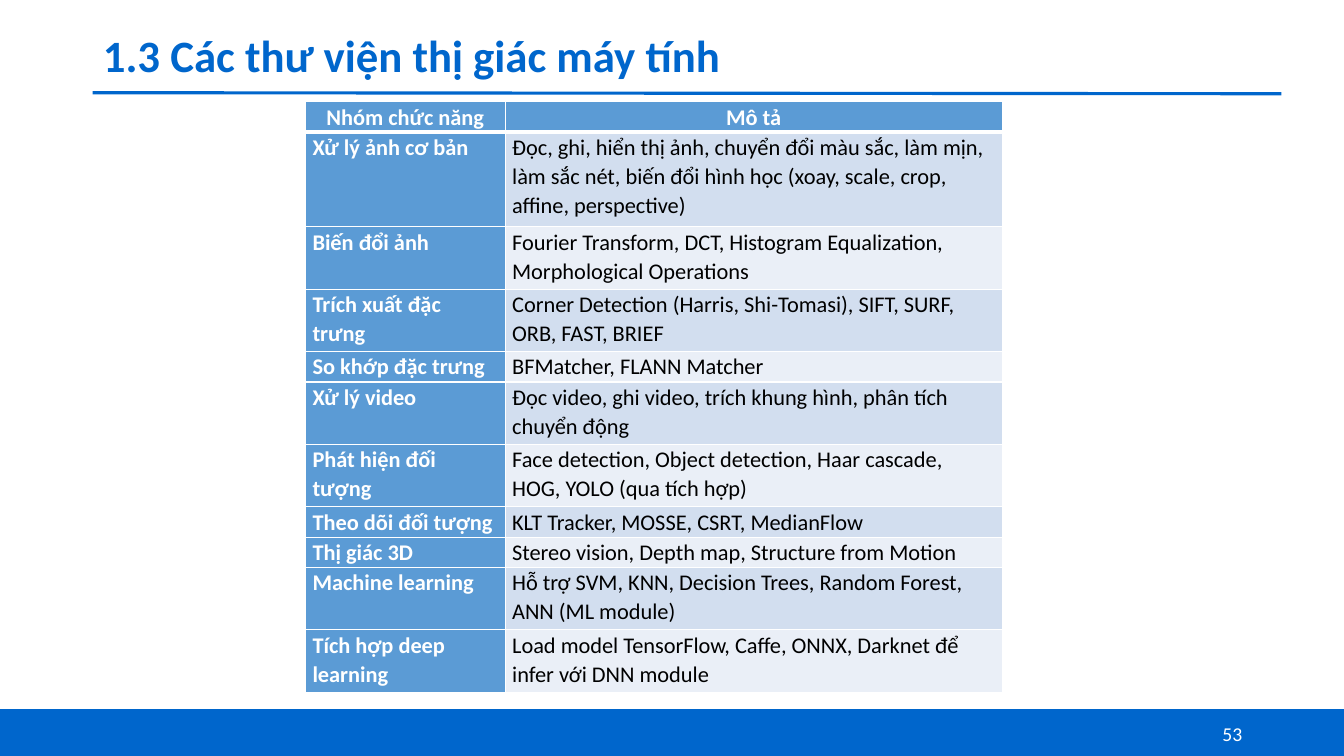
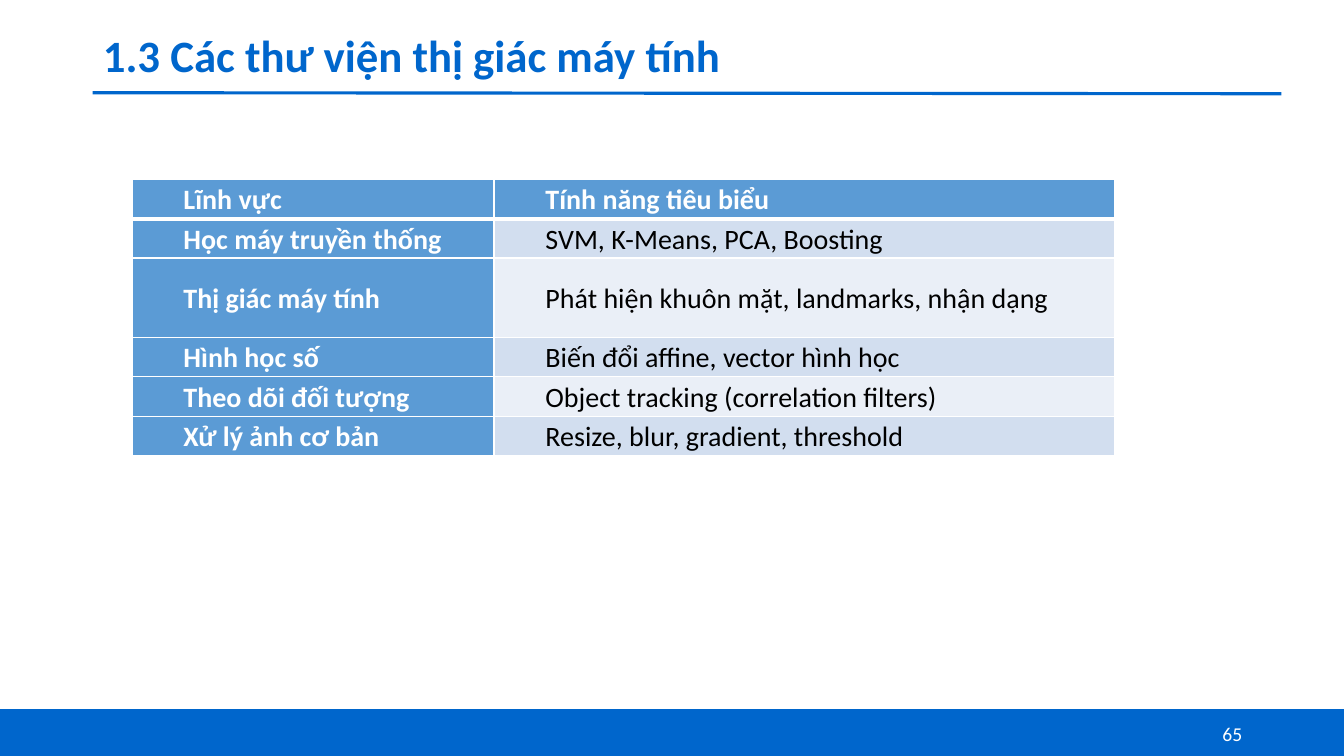
import pptx
import pptx.util
import pptx.dml.color
import pptx.enum.shapes
import pptx.enum.text
import pptx.oxml
import pptx.oxml.ns
from lxml import etree

Inches = pptx.util.Inches
Pt = pptx.util.Pt
ALIGN = pptx.enum.text.PP_ALIGN
ANCHOR = pptx.enum.text.MSO_ANCHOR

FONT = "Calibri"
COLORS = {
    "brand": "0066CC",
    "white": "FFFFFF",
    "black": "000000",
    "head": "5B9BD5",
    "odd": "D2DEEF",
    "even": "EAEFF7",
}
TITLE = "1.3 Các thư viện thị giác máy tính"

FUNCTION_GROUPS = [
    ("Nhóm chức năng", "Mô tả"),
    ("Xử lý ảnh cơ bản", "Đọc, ghi, hiển thị ảnh, chuyển đổi màu sắc, làm mịn, làm sắc nét, "
     "biến đổi hình học (xoay, scale, crop, affine, perspective)"),
    ("Biến đổi ảnh", "Fourier Transform, DCT, Histogram Equalization, Morphological Operations"),
    ("Trích xuất đặc trưng", "Corner Detection (Harris, Shi-Tomasi), SIFT, SURF, ORB, FAST, BRIEF"),
    ("So khớp đặc trưng", "BFMatcher, FLANN Matcher"),
    ("Xử lý video", "Đọc video, ghi video, trích khung hình, phân tích chuyển động"),
    ("Phát hiện đối tượng", "Face detection, Object detection, Haar cascade, HOG, YOLO (qua tích hợp)"),
    ("Theo dõi đối tượng", "KLT Tracker, MOSSE, CSRT, MedianFlow"),
    ("Thị giác 3D", "Stereo vision, Depth map, Structure from Motion"),
    ("Machine learning", "Hỗ trợ SVM, KNN, Decision Trees, Random Forest, ANN (ML module)"),
    ("Tích hợp deep learning", "Load model TensorFlow, Caffe, ONNX, Darknet để infer với DNN module"),
]
FEATURES = [
    ("Lĩnh vực", "Tính năng tiêu biểu"),
    ("Học máy truyền thống", "SVM, K-Means, PCA, Boosting"),
    ("Thị giác máy tính", "Phát hiện khuôn mặt, landmarks, nhận dạng"),
    ("Hình học số", "Biến đổi affine, vector hình học"),
    ("Theo dõi đối tượng", "Object tracking (correlation filters)"),
    ("Xử lý ảnh cơ bản", "Resize, blur, gradient, threshold"),
]


def rgb(name):
    return pptx.dml.color.RGBColor.from_string(COLORS[name])


def write(frame, text, size, color="black", bold=False, align=ALIGN.LEFT,
          anchor=ANCHOR.MIDDLE, spacing=1.0, after=0, indent=0):
    """Fill a text frame with one formatted paragraph; indent is in inches."""
    frame.word_wrap = True
    frame.vertical_anchor = anchor
    para = frame.paragraphs[0]
    para.alignment = align
    para.line_spacing = spacing
    para.space_before = Pt(0)
    para.space_after = Pt(after)
    if indent:
        para._p.get_or_add_pPr().set("marL", str(Inches(indent)))
    span = para.add_run()
    span.text = text
    span.font.name = FONT
    span.font.size = Pt(size)
    span.font.bold = bold
    span.font.color.rgb = rgb(color)


def set_borders(cell, **widths):
    """Draw white cell borders; widths are points keyed by L, R, T and B."""
    properties = cell._tc.get_or_add_tcPr()
    for place, side in enumerate("LRTB"):
        properties.insert(place, pptx.oxml.parse_xml(
            f'<a:ln{side} {pptx.oxml.ns.nsdecls("a")} w="{Pt(widths.get(side, 1))}">'
            f'<a:solidFill><a:srgbClr val="{COLORS["white"]}"/></a:solidFill></a:ln{side}>'))


class Lecture:
    """The deck's style together with the page being built."""

    def __init__(self):
        self.deck = pptx.Presentation()
        self.deck.slide_width = Inches(13.33)
        self.deck.slide_height = Inches(7.5)
        self.page = None

    def start_page(self, title, number):
        self.page = self.deck.slides.add_slide(self.deck.slide_layouts[5])
        self.band()
        self.rule()
        self.title(title)
        self.page_number(number)

    def band(self):
        box = self.page.shapes.add_shape(pptx.enum.shapes.MSO_SHAPE.RECTANGLE,
                                         0, Inches(7.04), Inches(13.33), Inches(0.46))
        box.shadow.inherit = False
        box.fill.solid()
        box.fill.fore_color.rgb = rgb("brand")
        box.line.color.rgb = rgb("brand")
        box.line.width = Pt(1)

    def rule(self):
        line = self.page.shapes.add_connector(pptx.enum.shapes.MSO_CONNECTOR.STRAIGHT,
                                              Inches(0.92), Inches(0.92), Inches(12.71), Inches(0.93))
        line.line.color.rgb = rgb("brand")
        line.line.width = Pt(2.25)
        etree.SubElement(line._element.spPr, pptx.oxml.ns.qn("a:effectLst"))

    def title(self, text):
        box = self.page.shapes.title
        box.left, box.top, box.width, box.height = map(Inches, (0.92, 0.29, 11.8, 0.58))
        box.text_frame.auto_size = pptx.enum.text.MSO_AUTO_SIZE.NONE
        write(box.text_frame, text, 32, color="brand", bold=True, spacing=0.9)

    def page_number(self, number):
        box = self.page.shapes.add_textbox(Inches(9.42), Inches(7.08), Inches(3), Inches(0.4))
        write(box.text_frame, str(number), 14, color="white", align=ALIGN.RIGHT)

    def table(self, rows, left, top, widths, heights, margins, head_align, **style):
        """Add a table with a dark first row and column; margins are (side, end) inches."""
        frame = self.page.shapes.add_table(len(rows), len(widths), Inches(left), Inches(top),
                                           Inches(sum(widths)), Inches(sum(heights)))
        table = frame.table
        table.first_row = table.horz_banding = False
        for column, width in zip(table.columns, widths):
            column.width = Inches(width)
        for row, height in zip(table.rows, heights):
            row.height = Inches(height)
        for r, texts in enumerate(rows):
            for c, text in enumerate(texts):
                cell = table.cell(r, c)
                dark = r == 0 or c == 0
                cell.margin_left = cell.margin_right = Inches(margins[0])
                cell.margin_top = cell.margin_bottom = Inches(margins[1])
                cell.fill.solid()
                cell.fill.fore_color.rgb = rgb("head" if dark else "odd" if r % 2 else "even")
                set_borders(cell, T=3 if r == 1 else 1, B=3 if r == 0 else 1)
                cell_style = {**style, "align": head_align} if r == 0 else style
                write(cell.text_frame, text, color="white" if dark else "black",
                      bold=dark, spacing=1.07, **cell_style)
                cell.vertical_anchor = style["anchor"]


def main():
    lecture = Lecture()

    lecture.start_page(TITLE, 53)
    one, two, three = 0.3, 0.62, 0.94
    lecture.table(FUNCTION_GROUPS, 3.03, 1.01, (1.98, 4.93),
                  (one, three, two, two, one, two, two, one, one, two, two),
                  margins=(0.07, 0), head_align=ALIGN.CENTER,
                  size=16, anchor=ANCHOR.TOP, after=8)

    lecture.start_page(TITLE, 65)
    single = 0.39
    lecture.table(FEATURES, 1.31, 1.78, (3.59, 6.16),
                  (single, single, 0.79, single, single, single),
                  margins=(0.01, 0.01), head_align=ALIGN.JUSTIFY,
                  size=20, anchor=ANCHOR.MIDDLE, align=ALIGN.JUSTIFY, indent=0.5)

    lecture.deck.save("out.pptx")


if __name__ == "__main__":
    main()
